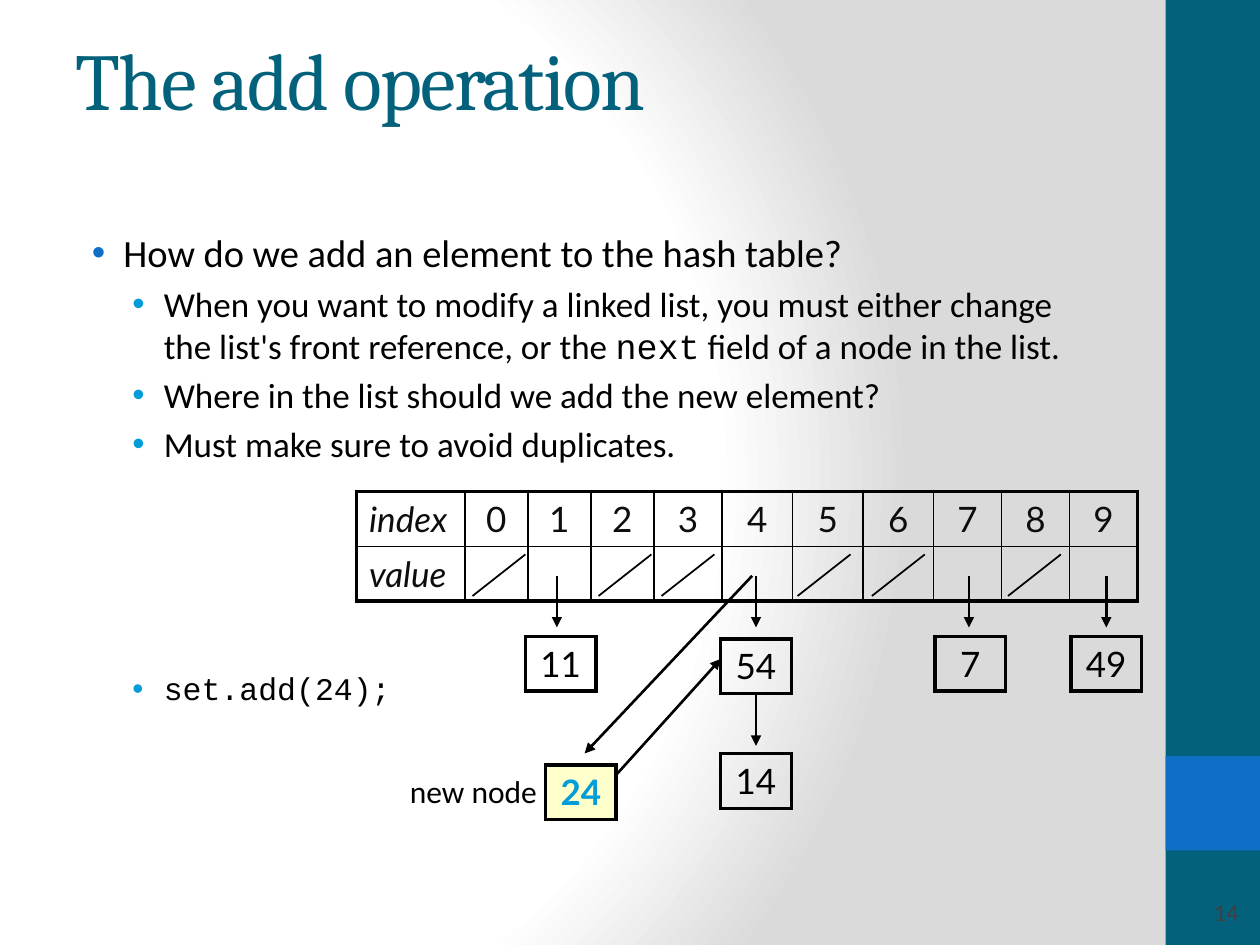
from lxml import etree
from pptx import Presentation
from pptx.dml.color import RGBColor
from pptx.enum.shapes import MSO_CONNECTOR, MSO_SHAPE
from pptx.enum.text import MSO_ANCHOR, MSO_AUTO_SIZE, PP_ALIGN
from pptx.oxml import parse_xml
from pptx.oxml.ns import qn
from pptx.util import Inches, Pt

LEFT, CENTER, RIGHT = PP_ALIGN.LEFT, PP_ALIGN.CENTER, PP_ALIGN.RIGHT
TOP, MIDDLE = MSO_ANCHOR.TOP, MSO_ANCHOR.MIDDLE
NO_FIT = MSO_AUTO_SIZE.NONE
STRAIGHT = MSO_CONNECTOR.STRAIGHT
RECT = MSO_SHAPE.RECTANGLE
NS = "http://schemas.openxmlformats.org/drawingml/2006/main"

COLORS = {
    "black": "000000", "white": "FFFFFF", "grey": "DADADA",
    "teal": "04617B", "blue": "0F6FC6", "sky": "009DD9",
    "ink": "0D0D0D", "number": "404040", "yellow": "FFFFCC",
}


def rgb(name):
    return RGBColor.from_string(COLORS[name])


class SlideBuilder:
    thick, thin = 2.25, 1

    def __init__(self, slide):
        self.s = slide

    def background(self):
        self.s.background.fill.solid()
        bg = self.s.element.find(".//" + qn("p:bgPr"))
        stops = "".join(
            f'<a:gs pos="{pos * 1000}"><a:srgbClr val="{COLORS[c]}"/></a:gs>'
            for pos, c in ((0, "white"), (75, "white"), (100, "grey")))
        grad = parse_xml(
            f'<a:gradFill xmlns:a="{NS}" rotWithShape="1"><a:gsLst>{stops}</a:gsLst>'
            '<a:path path="circle"><a:fillToRect l="20000" t="50000" r="100000" b="50000"/>'
            '</a:path></a:gradFill>')
        bg.replace(bg.find(qn("a:solidFill")), grad)

    def run(self, p, text, color="black", **font):
        r = p.add_run()
        r.text = text
        r.font.color.rgb = rgb(color)
        for key, value in font.items():
            setattr(r.font, key, Pt(value) if key == "size" else value)
        return r

    def place(self, sp, x, y, w, h):
        sp.left, sp.top, sp.width, sp.height = (Inches(v) for v in (x, y, w, h))

    def title(self, text, *box):
        sp = self.s.shapes.title
        self.place(sp, *box)
        tf = sp.text_frame
        tf.vertical_anchor, tf.auto_size = MIDDLE, NO_FIT
        p = tf.paragraphs[0]
        p.alignment = LEFT
        r = self.run(p, text, "teal", size=46, name="Cambria")
        r.font._element.set("spc", "-100")

    def body(self, items, *box):
        sp = self.s.placeholders[1]
        self.place(sp, *box)
        tf = sp.text_frame
        tf.vertical_anchor, tf.auto_size = TOP, NO_FIT
        tf.margin_top = Inches(0.49)
        for i, (level, before, runs) in enumerate(items):
            p = tf.add_paragraph() if i else tf.paragraphs[0]
            p.level, p.alignment, p.space_before = level, LEFT, Pt(before)
            self.bullet(p, *((0.7, "sky") if level else (0.38, "blue")))
            for text, size, name in runs:
                self.run(p, text, size=size, name=name)

    def bullet(self, p, indent, color):
        ppr = p._p.get_or_add_pPr()
        ppr.set("marL", str(Inches(indent)))
        ppr.set("indent", str(Inches(-0.25)))
        clr = etree.SubElement(ppr, qn("a:buClr"))
        etree.SubElement(clr, qn("a:srgbClr"), val=COLORS[color])
        etree.SubElement(ppr, qn("a:buFont"), typeface="Arial")
        etree.SubElement(ppr, qn("a:buChar"), char="\u2022")

    def rect(self, color, *box):
        sp = self.s.shapes.add_shape(RECT, *(Inches(v) for v in box))
        sp.shadow.inherit = False
        sp.fill.solid()
        sp.fill.fore_color.rgb = rgb(color)
        sp.line.fill.background()

    def text(self, text, box, **font):
        sp = self.s.shapes.add_textbox(*(Inches(v) for v in box))
        p = sp.text_frame.paragraphs[0]
        p.alignment = RIGHT
        self.run(p, text, name="Calibri", **font)

    def line(self, start, end, width=1.5, arrow=True):
        c = self.s.shapes.add_connector(STRAIGHT, *(Inches(v) for v in start + end))
        c.line.color.rgb = rgb("black")
        c.line.width = Pt(width)
        if arrow:
            etree.SubElement(c.line._get_or_add_ln(), qn("a:tailEnd"), type="triangle")
        etree.SubElement(c._element.spPr, qn("a:effectLst"))

    def table(self, x, y, widths, row_height, rows, fill=None, color="black", bold=False):
        n_rows, n_cols = len(rows), len(widths)
        size = (sum(widths), row_height * n_rows)
        tbl = self.s.shapes.add_table(
            n_rows, n_cols, *(Inches(v) for v in (x, y) + size)).table
        tbl.first_row = tbl.horz_banding = False
        for col, width in zip(tbl.columns, widths):
            col.width = Inches(width)
        for i, row in enumerate(rows):
            for j, text in enumerate(row):
                cell = tbl.cell(i, j)
                edges = {"L": j == 0, "R": j == n_cols - 1,
                         "T": i == 0, "B": i == n_rows - 1}
                self.borders(cell, edges)
                if fill:
                    cell.fill.solid()
                    cell.fill.fore_color.rgb = rgb(fill)
                else:
                    cell.fill.background()
                p = cell.text_frame.paragraphs[0]
                label = n_cols > 1 and j == 0
                p.alignment = LEFT if label else CENTER
                if text:
                    self.run(p, text, color, size=20, name="Lato", italic=label, bold=bold)

    def borders(self, cell, edges):
        tcpr = cell._tc.get_or_add_tcPr()
        for side, outer in edges.items():
            width = Pt(self.thick if outer else self.thin)
            ln = etree.SubElement(tcpr, qn("a:ln" + side), w=str(width))
            solid = etree.SubElement(ln, qn("a:solidFill"))
            etree.SubElement(solid, qn("a:srgbClr"), val=COLORS["black"])

    def node(self, text, x, y, **style):
        self.table(x, y, [0.56], 0.43, [[text]], **style)


prs = Presentation()
prs.slide_width, prs.slide_height = Inches(10), Inches(7.5)
b = SlideBuilder(prs.slides.add_slide(prs.slide_layouts[1]))
b.background()
b.rect("teal", 9.25, 0, 0.75, 7.5)
b.rect("blue", 9.25, 6, 0.75, 0.75)
b.title("The add operation", 0.5, 0, 8.33, 1.25)

SANS, MONO = "Calibri", "Courier New"
b.body([
    (0, 0, [("How do we add an element to the hash table?", 22, SANS)]),
    (1, 4, [("When you want to modify a linked list, you must either change "
             "the list's front reference, or the ", 20, SANS),
            ("next", 20, MONO),
            (" field of a node in the list.", 20, SANS)]),
    (1, 4, [("Where in the list should we add the new element?", 20, SANS)]),
    (1, 4, [("Must make sure to avoid duplicates.", 20, SANS)]),
    (1, 117, [("set.add(24);", 18, MONO)]),
], 0.5, 1.33, 8.33, 5.67)

widths = [0.86] + [0.5] * 3 + [0.54] + [0.56] * 3 + [0.54] * 3
b.table(2.83, 3.9, widths, 0.435,
        [["index"] + [str(i) for i in range(10)], ["value"] + [""] * 10], color="ink")

for value, x, y in (("11", 4.17, 5.05), ("54", 5.72, 5.07), ("14", 5.72, 5.98),
                    ("7", 7.42, 5.05), ("49", 8.5, 5.05)):
    b.node(value, x, y)
b.node("24", 4.33, 6.07, fill="yellow", color="sky", bold=True)

for x in (4.42, 6, 7.69, 8.78):
    b.line((x, 4.57), (x, 4.98))
for x in (3.75, 4.75, 5.25, 6.33, 6.92, 8):
    b.line((x + 0.42, 4.4), (x, 4.73), width=1, arrow=False)
b.line((6, 5.5), (6, 5.92))
b.line((4.89, 6.15), (5.72, 5.23))
b.line((5.97, 4.57), (4.64, 5.98))

b.text("new node", (3.14, 6.08, 1.22, 0.4), size=18)
b.text("14", (9.25, 7.07, 0.68, 0.33), size=14, color="number")
prs.save("out.pptx")
